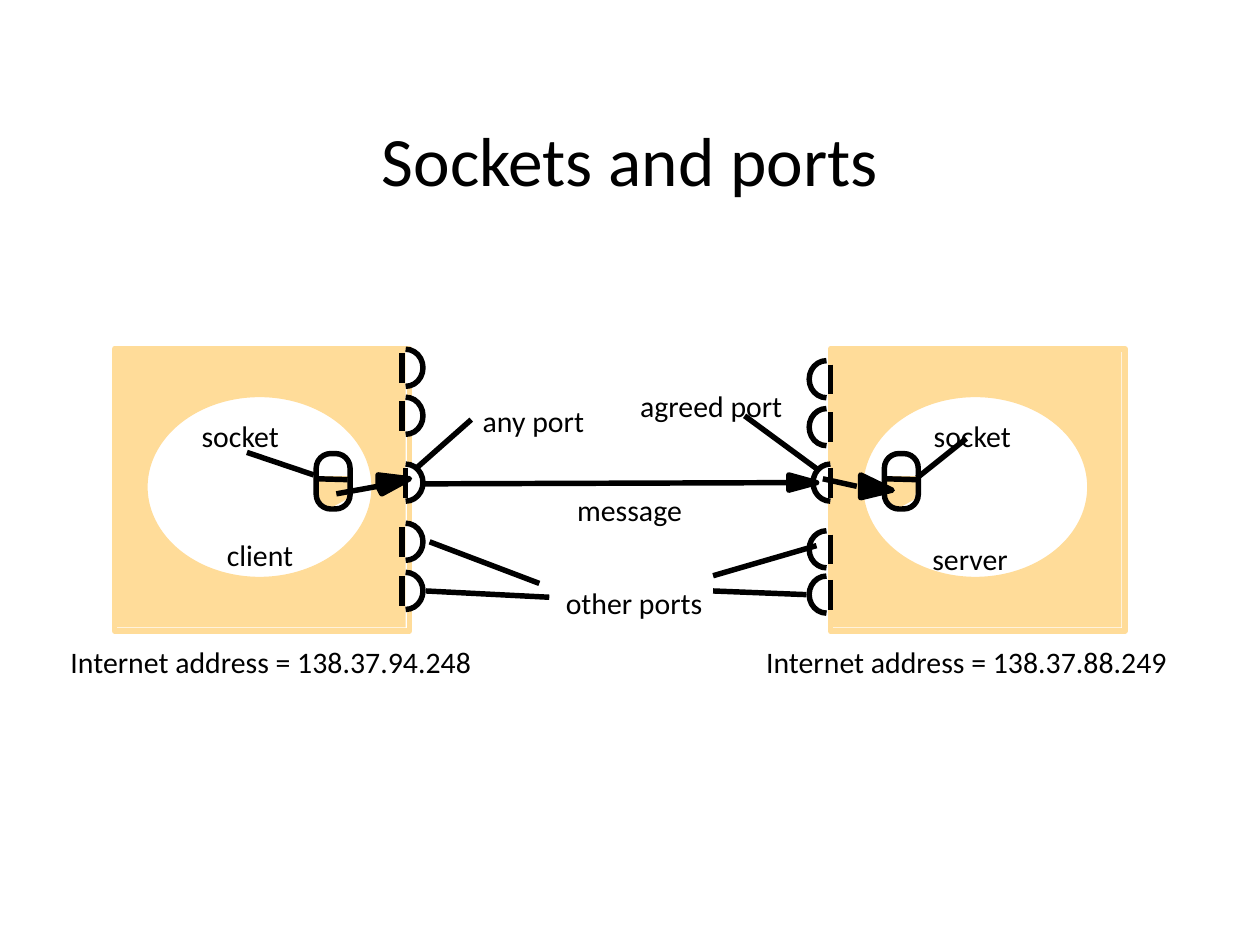
"""Build the "Sockets and ports" slide."""
from lxml import etree
from pptx import Presentation
from pptx.dml.color import RGBColor
from pptx.enum.shapes import MSO_CONNECTOR as Connector, MSO_SHAPE as Shape
from pptx.enum.text import MSO_ANCHOR as Anchor, MSO_AUTO_SIZE as AutoSize, PP_ALIGN as Align
from pptx.oxml.ns import qn
from pptx.util import Pt

SAND, WHITE, BLACK = "FFDC99", "FFFFFF", "000000"
STROKE = 3.13
TITLE = ("Sockets and ports", 36, 67, 648, 47.5)
LABELS = [
    ("message", 329.8, 280.8, 60.5),
    ("agreed port", 365.8, 221.8, 82),
    ("any port", 275.8, 230.4, 58.3),
    ("socket", 533.5, 239, 44.6),
    ("socket", 115.2, 239, 44.6),
    ("Internet address = 138.37.88.249", 437.8, 367.9, 230.4),
    ("Internet address = 138.37.94.248", 40.3, 367.9, 230.4),
    ("other ports", 323.3, 334.1, 78.5),
    ("client", 129.6, 306.7, 38.2),
    ("server", 532.8, 308.9, 43.2),
]
HOST_LEFTS = (65.5, 474.5)
HOST_TOP = 199.4
SOCKET_LEFTS = (180.7, 505.4)
SOCKET_TOP = 259.2
RIGHT_HALF, LEFT_HALF = (162, 54), (54, 162)
PORT_RADII = (9.9, 10.6)
IDLE_PORTS = [
    (231.8, 229.7, RIGHT_HALF, (210.2, 237.6, 309.6, 337.7)),
    (472.3, 474.5, LEFT_HALF, (216.7, 244.1, 313.9, 339.8)),
]
ACTIVE_PORTS = [
    (231.8, 231.8, RIGHT_HALF, (275.8,)),
    (474.5, 474.5, LEFT_HALF, (275.8,)),
]
POINTERS = [
    (237.6, 267.8, 269.3, 239.8),
    (466.6, 267.8, 425.5, 237.6),
    (179.3, 271.4, 141.1, 258.5),
    (523.4, 273.6, 552.2, 250.6),
    (308.2, 333.4, 245.5, 309.6),
    (313.9, 341.3, 243.4, 337.7),
    (460.8, 339.8, 407.5, 337.7),
    (407.5, 329, 466.6, 311.8),
]
ARROWS = [
    ((241.2, 276.5, 450.7, 275.8),
     [(450.7, 275.8), (450.7, 271.4), (466.6, 275.8), (450.7, 280.1)]),
    ((192.2, 282.2, 216, 277.9),
     [(216, 277.9), (216, 271.4), (234, 273.6), (218.2, 282.2)]),
    ((470.2, 273.6, 489.6, 277.9),
     [(491.8, 277.9), (491.8, 271.4), (509.8, 280.1), (491.8, 284.4)]),
]

deck = Presentation()
deck.slide_width, deck.slide_height = Pt(720), Pt(540)
slide = deck.slides.add_slide(deck.slide_layouts[6])
shapes = slide.shapes


def color(hex_code):
    return RGBColor.from_string(hex_code)


def paint(shape, fill, line):
    shape.shadow.inherit = False
    if fill:
        shape.fill.solid()
        shape.fill.fore_color.rgb = color(fill)
    else:
        shape.fill.background()
    if line:
        shape.line.color.rgb = color(line)
        shape.line.width = Pt(STROKE)
    else:
        shape.line.fill.background()
    return shape


def add_preset(kind, left, top, width, height, fill=None, line=None):
    shape = shapes.add_shape(kind, Pt(left), Pt(top), Pt(width), Pt(height))
    return paint(shape, fill, line)


def add_polygon(points, hue):
    corners = [(Pt(x), Pt(y)) for x, y in points]
    builder = shapes.build_freeform(*corners[0], scale=1.0)
    builder.add_line_segments(corners[1:], close=True)
    paint(builder.convert_to_shape(), hue, hue)


def add_line(x1, y1, x2, y2):
    line = shapes.add_connector(Connector.STRAIGHT, Pt(x1), Pt(y1), Pt(x2), Pt(y2))
    line.line.color.rgb = color(BLACK)
    line.line.width = Pt(STROKE)
    etree.SubElement(line._element.spPr, qn("a:effectLst"))


def add_text(text, left, top, width, height=20.9, size=17, align=Align.LEFT,
             anchor=Anchor.TOP, wrap=False, fit=AutoSize.SHAPE_TO_FIT_TEXT):
    frame = shapes.add_textbox(Pt(left), Pt(top), Pt(width), Pt(height)).text_frame
    frame.margin_left = frame.margin_right = frame.margin_top = frame.margin_bottom = 0
    frame.word_wrap, frame.auto_size, frame.vertical_anchor = wrap, fit, anchor
    paragraph = frame.paragraphs[0]
    paragraph.text, paragraph.alignment = text, align
    font = paragraph.runs[0].font
    font.name, font.size, font.color.rgb = "Calibri", Pt(size), color(BLACK)


def add_ports(groups):
    radius_x, radius_y = PORT_RADII
    for center_x, bar_x, half, centers in groups:
        for center_y in centers:
            port = add_preset(Shape.ARC, center_x - radius_x, center_y - radius_y,
                              2 * radius_x, 2 * radius_y, WHITE, BLACK)
            port.adjustments[0], port.adjustments[1] = half
            add_line(bar_x, center_y - 8.4, bar_x, center_y + 8.6)


def add_host(left):
    add_preset(Shape.RECTANGLE, left, HOST_TOP, 166.3, 159.1, fill=SAND)
    add_preset(Shape.RECTANGLE, left, HOST_TOP, 168.5, 161.3, line=SAND)
    add_preset(Shape.OVAL, left + 17.3, HOST_TOP + 26, 131, 105.8, WHITE, SAND)


def add_socket(left):
    middle = SOCKET_TOP + 14.4
    lower_half = [(0, 0), (2.2, 10.8), (7.9, 15.1), (15.8, 10.8), (18, 0)]
    add_polygon([(left + x, middle + y) for x, y in lower_half], SAND)
    outline = add_preset(Shape.ROUNDED_RECTANGLE, left, SOCKET_TOP, 19.4, 31.7, line=BLACK)
    outline.adjustments[0] = 0.43
    add_line(left, middle, left + 18, middle + 0.5)


add_text(*TITLE, size=39.6, align=Align.CENTER, anchor=Anchor.MIDDLE,
         wrap=True, fit=AutoSize.NONE)
for host_left in HOST_LEFTS:
    add_host(host_left)
add_ports(IDLE_PORTS)
for pointer in POINTERS:
    add_line(*pointer)
for label in LABELS:
    add_text(*label)
for socket_left in SOCKET_LEFTS:
    add_socket(socket_left)
add_ports(ACTIVE_PORTS)
for shaft, head in ARROWS:
    add_polygon(head, BLACK)
    add_line(*shaft)

deck.save("out.pptx")
